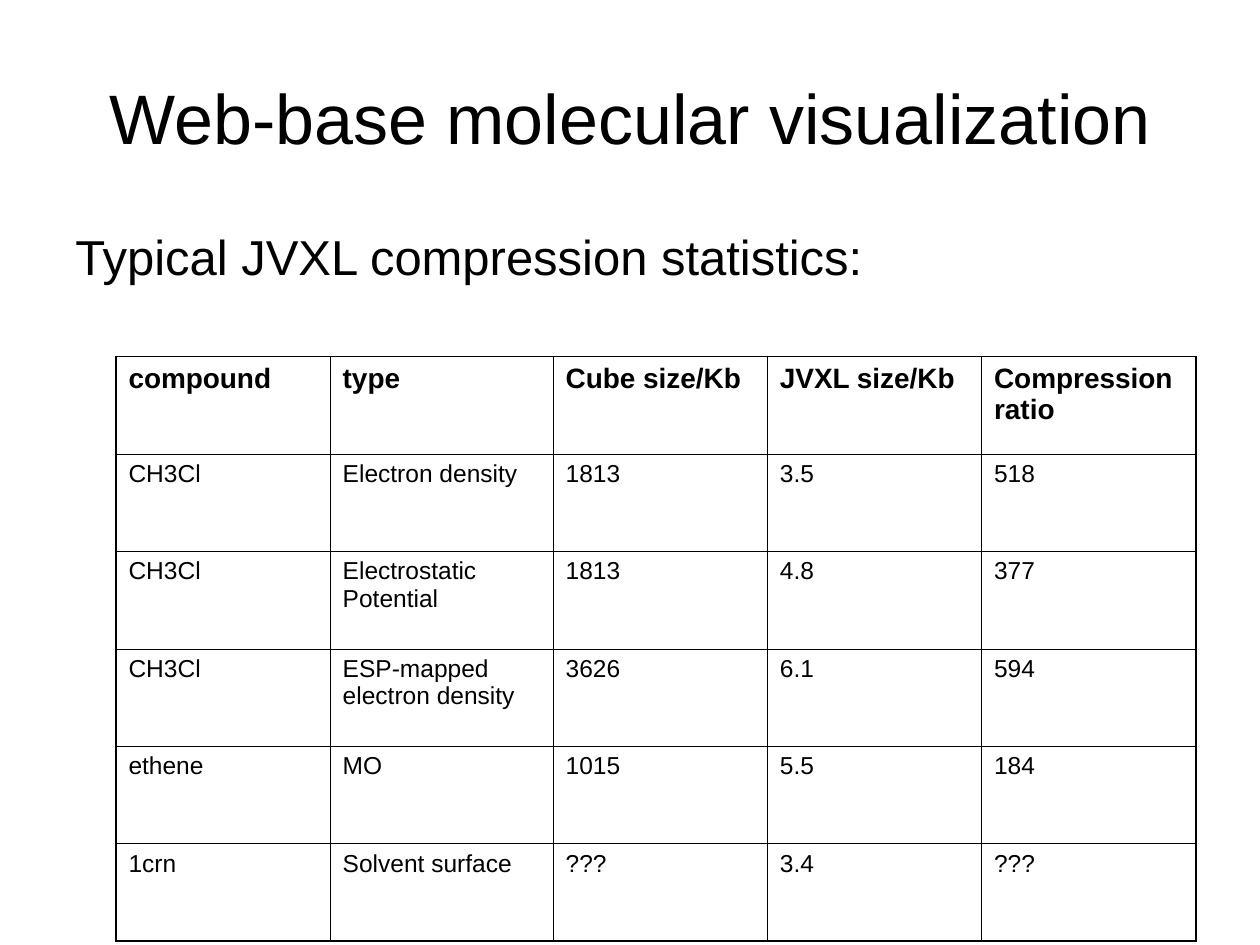
from dataclasses import dataclass

from lxml.etree import SubElement
from pptx import Presentation
from pptx.dml.color import RGBColor as RGB
from pptx.enum.text import MSO_ANCHOR as Anchor, PP_ALIGN as Align
from pptx.oxml.ns import qn
from pptx.util import Inches, Pt


@dataclass(frozen=True)
class Theme:
    font: str = "Arial"
    ink: str = "000000"
    paper: str = "FFFFFF"
    title: int = 40
    lead: int = 28
    header: int = 16
    body: int = 14
    outer_line: float = 1.08
    inner_line: float = 0.45


THEME = Theme()
SLIDE_W, SLIDE_H = 10, 7.5
MARGIN = SLIDE_W * 0.05

TABLE_LEFT, TABLE_TOP = 0.92, 2.83
TABLE_HEIGHT = 4.64
COLUMNS = [1.7, 1.77, 1.7, 1.7, 1.7]

STATISTICS = [
    ["compound", "type", "Cube size/Kb", "JVXL size/Kb", "Compression ratio"],
    ["CH3Cl", "Electron density", "1813", "3.5", "518"],
    ["CH3Cl", "Electrostatic Potential", "1813", "4.8", "377"],
    ["CH3Cl", "ESP-mapped electron density", "3626", "6.1", "594"],
    ["ethene", "MO", "1015", "5.5", "184"],
    ["1crn", "Solvent surface", "???", "3.4", "???"],
]


def write(tf, text, size, bold=False, align=Align.LEFT):
    """Fill a text frame with one formatted paragraph."""
    tf.word_wrap = True
    p = tf.paragraphs[0]
    p.text = text
    p.alignment = align
    p.font.name = THEME.font
    p.font.size = Pt(size)
    p.font.bold = bold
    p.font.color.rgb = RGB.from_string(THEME.ink)


def set_title(s, text):
    title = s.shapes.title
    title.left, title.top = Inches(MARGIN), Inches(0.3)
    title.width, title.height = Inches(SLIDE_W - 2 * MARGIN), Inches(1.25)
    tf = title.text_frame
    tf.vertical_anchor = Anchor.MIDDLE
    write(tf, text, THEME.title, align=Align.CENTER)


def add_lead(s, text):
    box = s.shapes.add_textbox(Inches(MARGIN), Inches(1.75),
                               Inches(6.92), Inches(4.95))
    write(box.text_frame, text, THEME.lead)


def set_borders(cell, outer_sides):
    """Draw all four cell borders, heavier on the table's outer edge."""
    tcPr = cell._tc.get_or_add_tcPr()
    for i, side in enumerate("LRTB"):
        width = THEME.outer_line if side in outer_sides else THEME.inner_line
        ln = SubElement(tcPr, qn(f"a:ln{side}"), w=str(Pt(width)))
        fill = SubElement(ln, qn("a:solidFill"))
        SubElement(fill, qn("a:srgbClr"), val=THEME.ink)
        tcPr.insert(i, ln)  # borders come before the cell fill


def add_statistics(s, rows):
    last_row, last_col = len(rows) - 1, len(COLUMNS) - 1
    table = s.shapes.add_table(
        len(rows), len(COLUMNS), Inches(TABLE_LEFT), Inches(TABLE_TOP),
        Inches(sum(COLUMNS)), Inches(TABLE_HEIGHT)).table
    table.first_row = table.horz_banding = False
    for column, width in zip(table.columns, COLUMNS):
        column.width = Inches(width)

    for r, values in enumerate(rows):
        header = r == 0
        for c, value in enumerate(values):
            cell = table.cell(r, c)
            cell.fill.background()
            write(cell.text_frame, value,
                  THEME.header if header else THEME.body, bold=header)
            edges = {"L": c == 0, "R": c == last_col,
                     "T": header, "B": r == last_row}
            set_borders(cell, [side for side, outer in edges.items() if outer])


def main():
    prs = Presentation()
    prs.slide_width, prs.slide_height = Inches(SLIDE_W), Inches(SLIDE_H)
    s = prs.slides.add_slide(prs.slide_layouts.get_by_name("Title Only"))
    s.background.fill.solid()
    s.background.fill.fore_color.rgb = RGB.from_string(THEME.paper)

    set_title(s, "Web-base molecular visualization")
    add_lead(s, "Typical JVXL compression statistics:")
    add_statistics(s, STATISTICS)
    prs.save("out.pptx")


if __name__ == "__main__":
    main()
